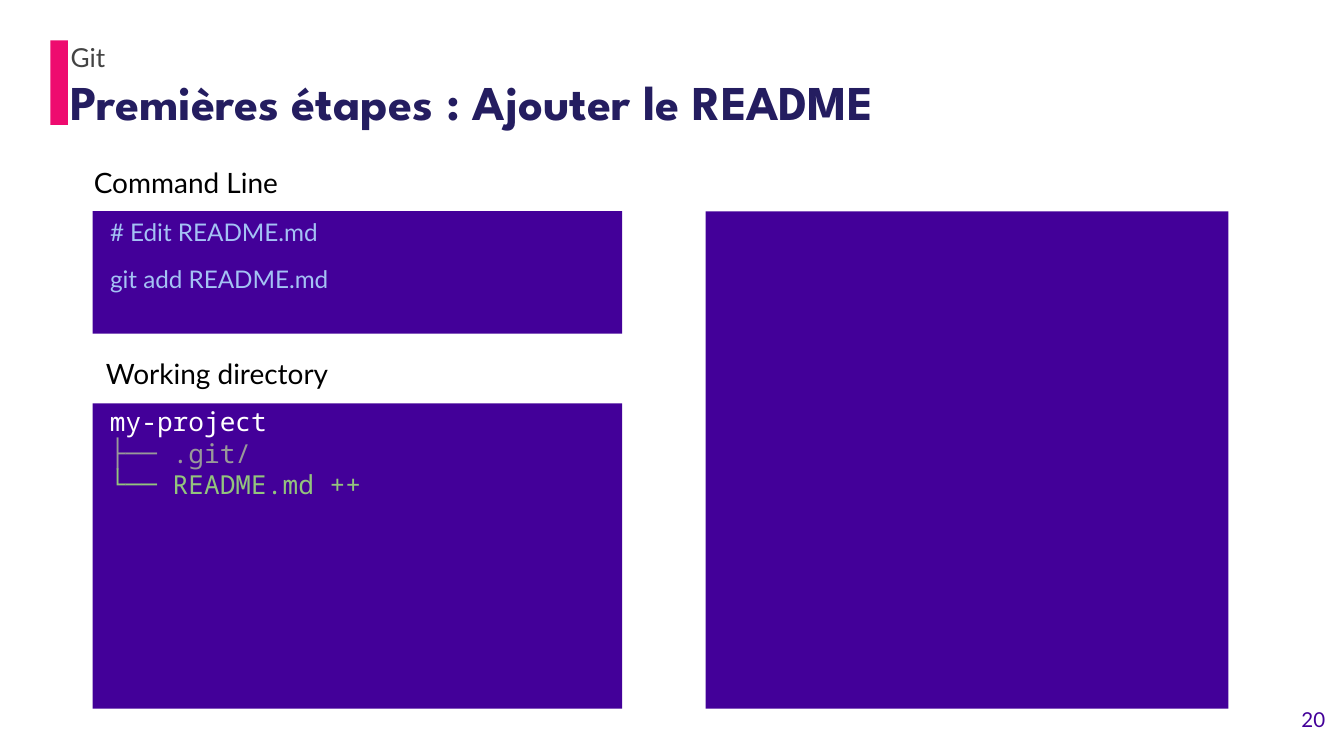
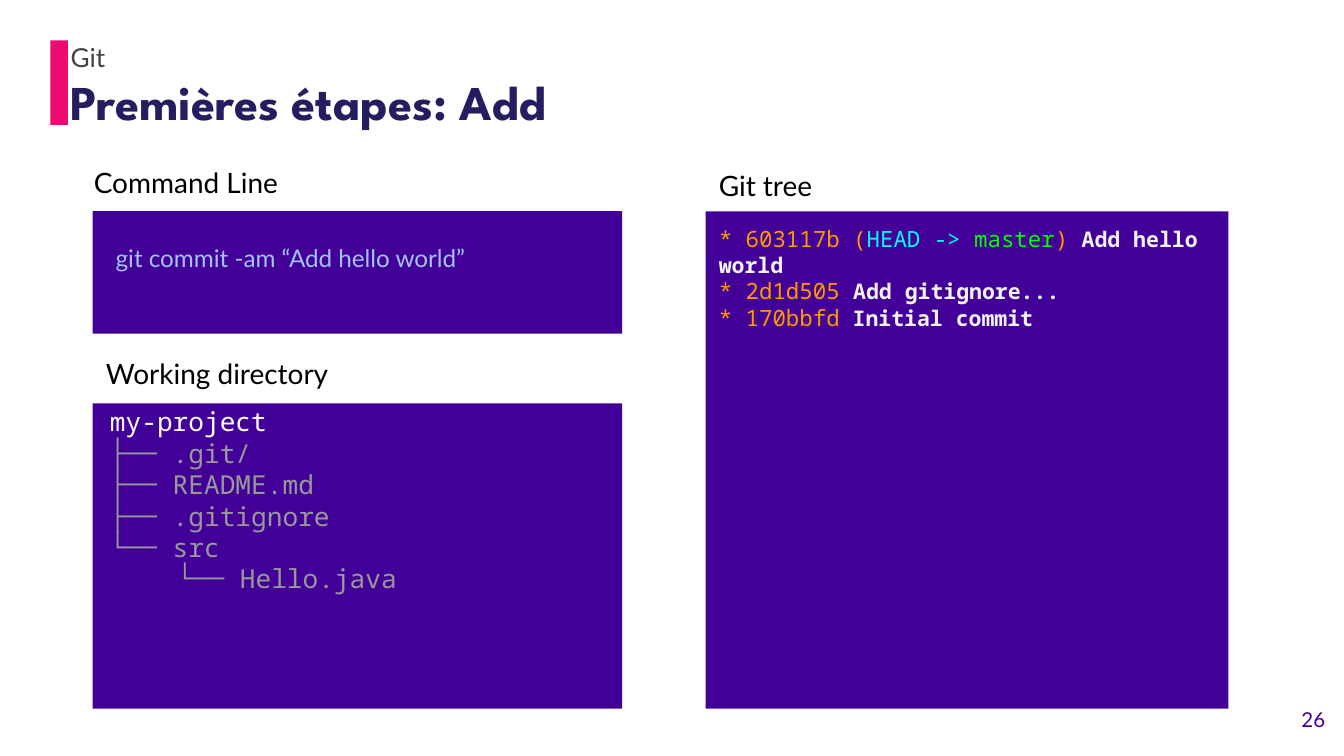
"""Build two Git lesson slides with command, directory and tree panels."""
from dataclasses import dataclass

from lxml import etree
from pptx import Presentation
from pptx import util as u
from pptx.dml.color import RGBColor
from pptx.enum import shapes, text
from pptx.oxml.ns import qn


@dataclass(frozen=True)
class Style:
    font: str
    size: float
    color: str
    bold: bool = False


class Theme:
    width = 10
    height = width * 9 / 16
    inset = 0.1
    accent, panel = "EE0B6F", "430099"
    title = Style("League Spartan", 26, "241D60", True)
    topic = Style("Lato", 14, "434343")
    label = Style("Lato", 15, "000000")
    number = Style("Lato", 11, "430099")
    command = Style("Lato", 13, "A4C2F4")
    root = Style("Noto Sans Mono", 14, "FFFFFF")
    tracked = Style("Noto Sans Mono", 14, "999999")
    staged = Style("Noto Sans Mono", 14, "93C47D")
    commit = Style("Noto Sans Mono", 12, "FF9900")
    head = Style("Noto Sans Mono", 12, "00FFFF")
    branch = Style("Noto Sans Mono", 12, "00FF00")
    message = Style("Noto Sans Mono", 11.5, "F3F3F3", True)


class Area:
    bar = (3.75, 5.34, 1.3, 11.2)
    title = (4.25, 7.7, 93.2, 11.2)
    topic = (4.25, 5.2, 93.2, 4.63)
    number = (93.6, 91.8, 6, 7.65)
    command_label = (6, 20.05, 22.7, 5.87)
    command_panel = (6.9, 27.94, 39.4, 16.19)
    edit_command = (7.2, 26.33, 38.9, 16.19)
    commit_command = (7.2, 32.21, 38.9, 16.19)
    directory_label = (6.9, 45.4, 22.7, 5.87)
    directory_panel = (6.9, 53.35, 39.4, 40.39)
    directory = (7.2, 51.9, 39.4, 44.66)
    tree_label = (52.5, 20.46, 22.7, 5.87)
    tree_panel = (52.5, 27.96, 38.9, 65.78)


def emu(area):
    """Turn percentages of the slide into left, top, width and height."""
    sides = (Theme.width, Theme.height) * 2
    return [u.Inches(side * share / 100) for side, share in zip(sides, area)]


def write(tf, lines, spacing=1, gap=0, align=text.PP_ALIGN.LEFT,
          anchor=text.MSO_ANCHOR.TOP):
    """Fill a text frame with lines made of (text, style) runs."""
    tf.word_wrap = True
    tf.auto_size = text.MSO_AUTO_SIZE.NONE
    tf.vertical_anchor = anchor
    tf.margin_left = tf.margin_right = u.Inches(Theme.inset)
    tf.margin_top = tf.margin_bottom = u.Inches(Theme.inset)
    for i, runs in enumerate(lines):
        p = tf.add_paragraph() if i else tf.paragraphs[0]
        p.alignment, p.line_spacing = align, spacing
        p.space_before = u.Pt(gap if i else 0)
        for words, style in runs:
            r = p.add_run()
            r.text = words
            r.font.name, r.font.size = style.font, u.Pt(style.size)
            r.font.bold = style.bold
            r.font.color.rgb = RGBColor.from_string(style.color)
            for tag in ("a:ea", "a:cs"):
                etree.SubElement(r._r.get_or_add_rPr(), qn(tag), typeface=style.font)
    return tf


def add_text(s, area, lines, **options):
    """Add a text box and return its frame."""
    return write(s.shapes.add_textbox(*emu(area)).text_frame, lines, **options)


def add_block(s, area, color):
    """Add a plain filled rectangle."""
    sp = s.shapes.add_shape(shapes.MSO_SHAPE.RECTANGLE, *emu(area))
    sp.shadow.inherit = False
    sp.fill.solid()
    sp.fill.fore_color.rgb = RGBColor.from_string(color)
    sp.line.fill.background()
    return sp


def fill_placeholder(sp, area, words, style, **options):
    """Move a placeholder and write its single line."""
    sp.left, sp.top, sp.width, sp.height = emu(area)
    write(sp.text_frame, [[(words, style)]], **options)


def add_lesson(prs, title, number, directory):
    """Add a slide with the shared frame and return it with its tree panel."""
    s = prs.slides.add_slide(prs.slide_layouts[0])
    fill_placeholder(s.shapes.title, Area.title, title, Theme.title)
    fill_placeholder(s.placeholders[1], Area.topic, "Git", Theme.topic,
                     anchor=text.MSO_ANCHOR.MIDDLE)
    add_text(s, Area.number, [[(number, Theme.number)]], align=text.PP_ALIGN.RIGHT)
    add_block(s, Area.command_panel, Theme.panel)
    add_block(s, Area.directory_panel, Theme.panel)
    tree = add_block(s, Area.tree_panel, Theme.panel)
    add_text(s, Area.command_label, [[("Command Line", Theme.label)]])
    add_text(s, Area.directory_label, [[("Working directory", Theme.label)]])
    tf = add_text(s, Area.directory, [[line[:2]] for line in directory])
    for p, line in zip(tf.paragraphs, directory):
        if len(line) > 2:
            pPr = p._p.get_or_add_pPr()
            pPr.set("marL", str(u.Inches(line[2])))
            pPr.set("indent", "0")
    return s, tree


def add_readme_slide(prs):
    """Add the slide about staging the README."""
    s, _ = add_lesson(prs, "Premières étapes : Ajouter le README", "20", [
        ("my-project", Theme.root),
        ("├── .git/", Theme.tracked),
        ("└── README.md ++", Theme.staged)])
    commands = ("# Edit README.md", "git add README.md")
    add_text(s, Area.edit_command, [[(c, Theme.command)] for c in commands],
             spacing=1.15, gap=7.5)
    return s


def add_commit_slide(prs):
    """Add the slide about committing, with its history."""
    s, tree = add_lesson(prs, "Premières étapes: Add", "26", [
        ("my-project", Theme.root),
        ("├── .git/", Theme.tracked),
        ("├── README.md", Theme.tracked),
        ("├── .gitignore", Theme.tracked),
        ("└── src", Theme.tracked),
        ("└── Hello.java", Theme.tracked, 0.5)])
    tf = add_text(s, Area.commit_command,
                  [[("git commit -am “Add hello world”", Theme.command)]])
    tf.margin_top, tf.margin_left = 0, u.Inches(0.14)
    add_text(s, Area.tree_label, [[("Git tree", Theme.label)]])
    write(tree.text_frame, [
        [("* 603117b (", Theme.commit), ("HEAD -> ", Theme.head),
         ("master", Theme.branch), (") ", Theme.commit),
         ("Add hello world", Theme.message)],
        [("* 2d1d505 ", Theme.commit), ("Add gitignore...", Theme.message)],
        [("* 170bbfd", Theme.commit), (" Initial commit", Theme.message)]])


def main():
    """Build and save the presentation."""
    prs = Presentation()
    prs.slide_width, prs.slide_height = u.Inches(Theme.width), u.Inches(Theme.height)
    s = add_readme_slide(prs)
    bar = add_block(s, Area.bar, Theme.accent)
    s.slide_layout.element.cSld.spTree.append(bar.element)
    add_commit_slide(prs)
    prs.save("out.pptx")


if __name__ == "__main__":
    main()
